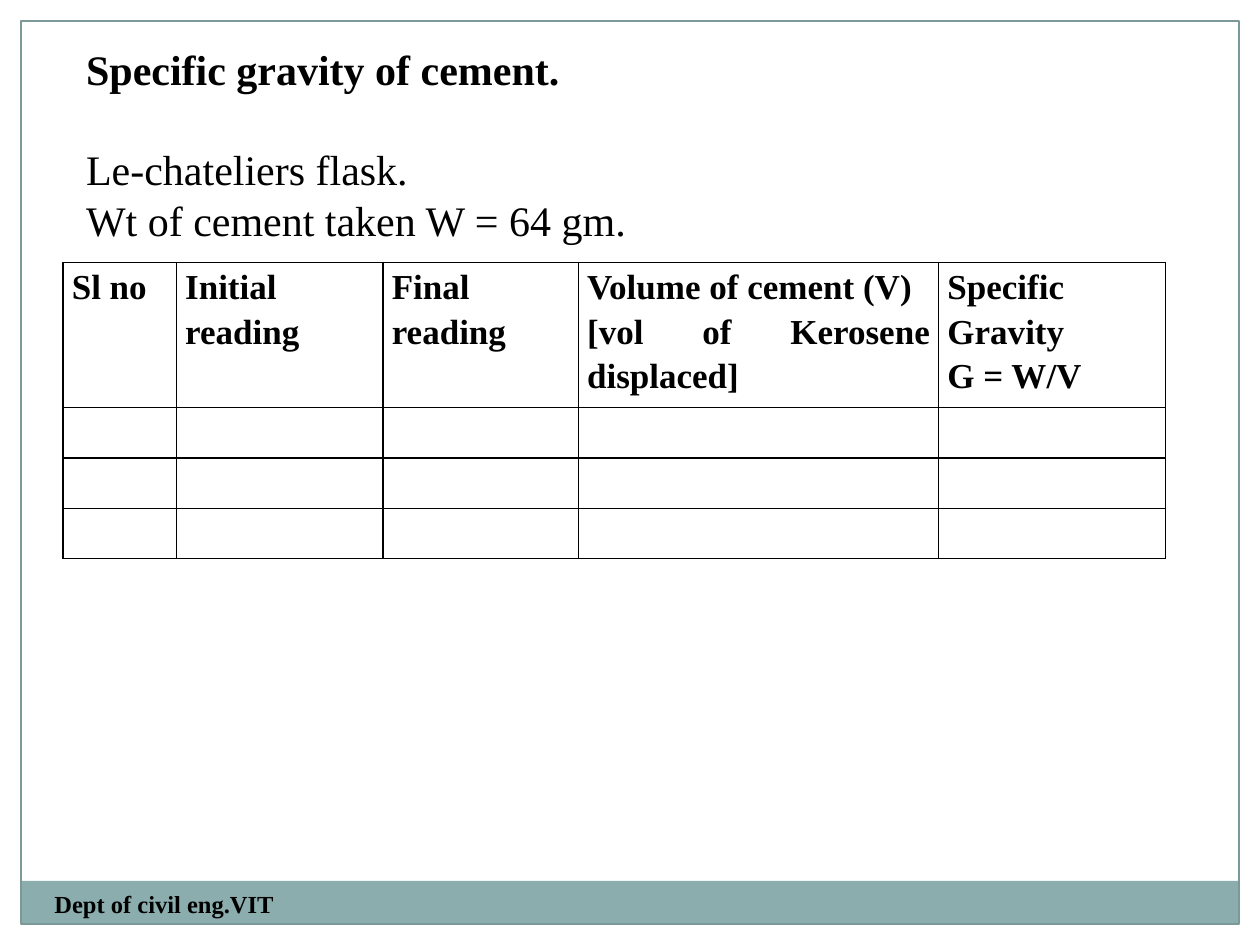
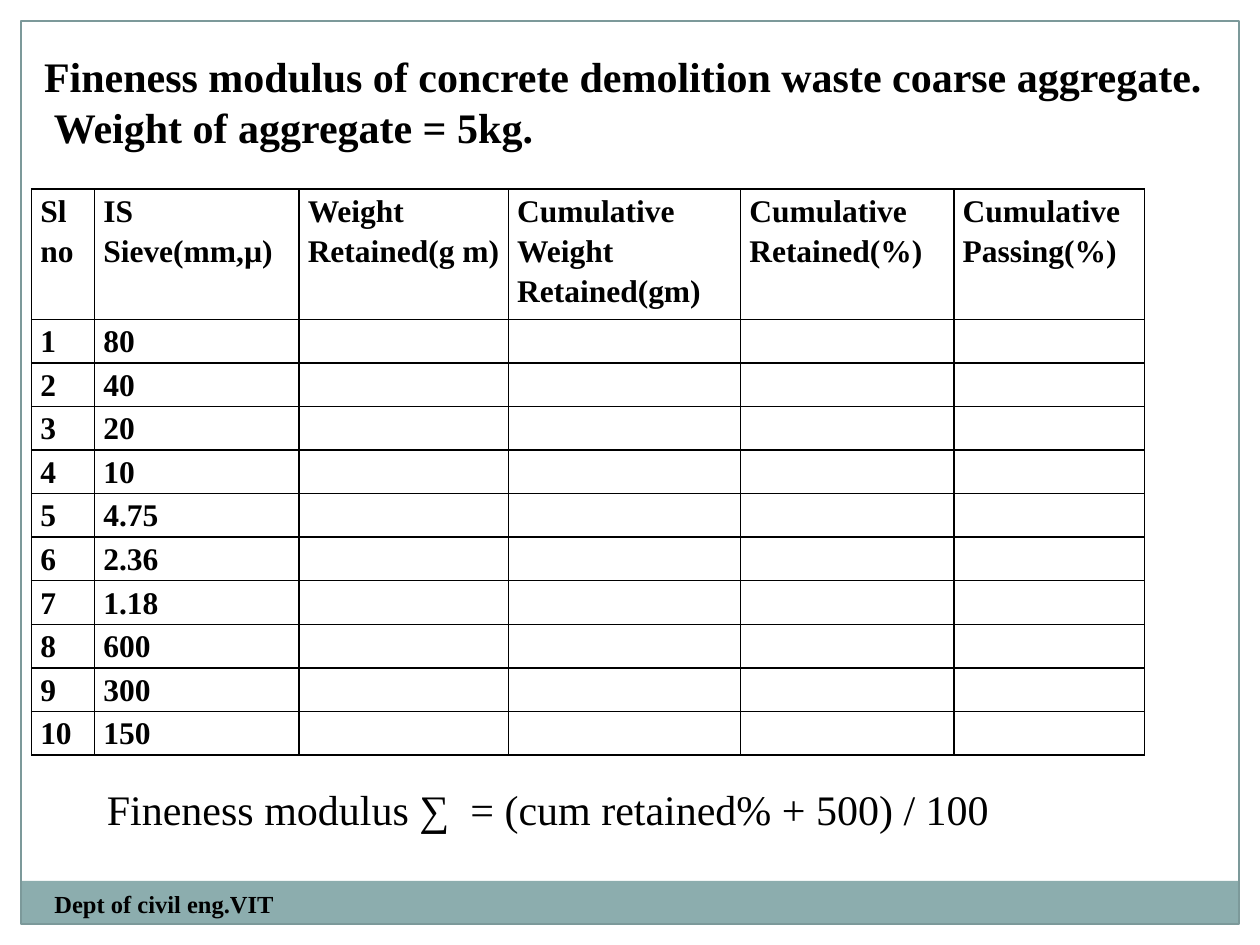
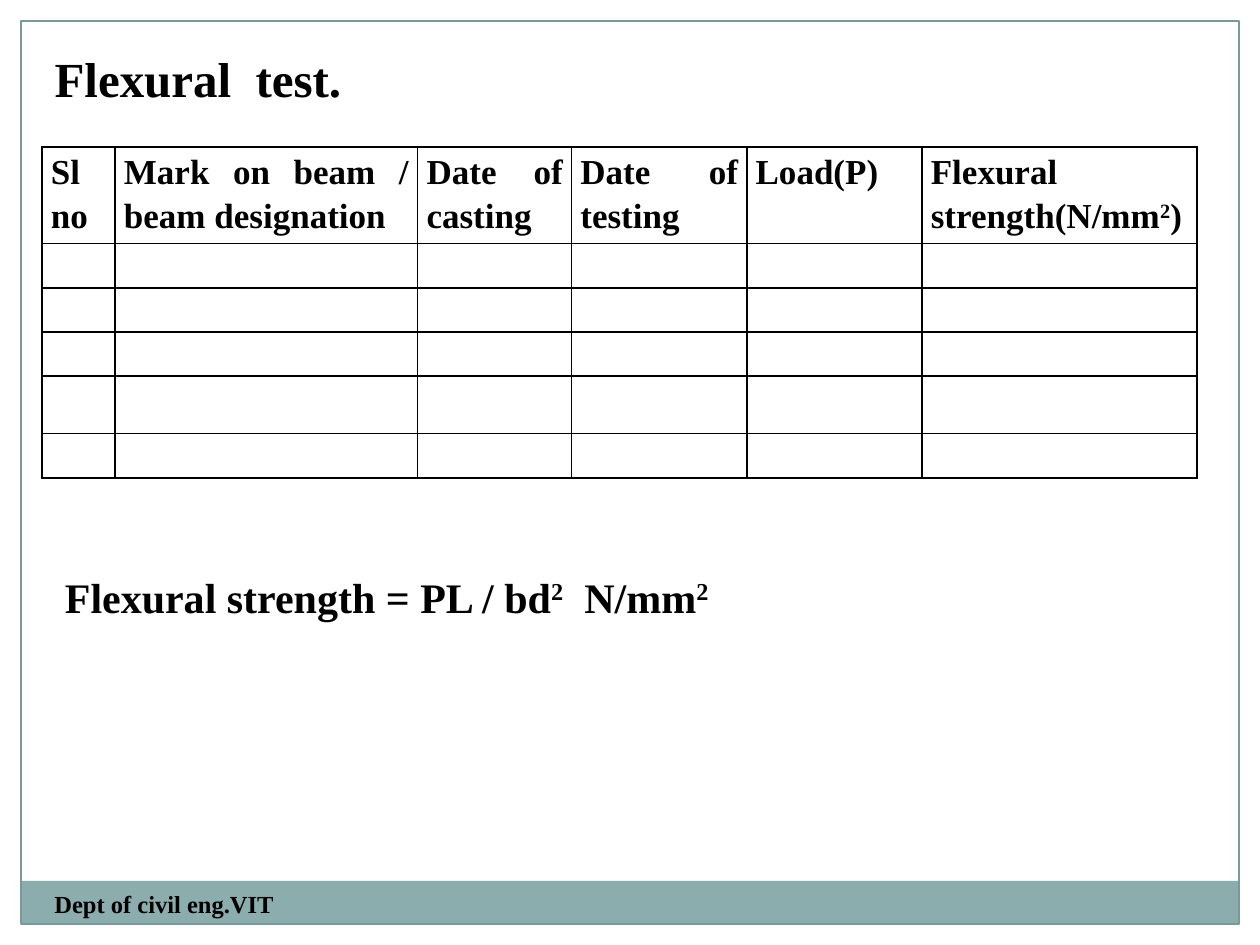
from lxml.etree import SubElement
from pptx import Presentation
from pptx.dml.color import RGBColor
from pptx.enum.shapes import MSO_SHAPE
from pptx.enum.text import MSO_ANCHOR, MSO_AUTO_SIZE, PP_ALIGN
from pptx.oxml.ns import qn
from pptx.util import Inches, Pt

BLACK = RGBColor(0x00, 0x00, 0x00)
WHITE = RGBColor(0xFF, 0xFF, 0xFF)
BAND = RGBColor(0x8C, 0xAD, 0xAE)
FRAME = RGBColor(0x7C, 0x99, 0x9A)
FONT = "Times New Roman"
FOOTER = "Dept of civil eng.VIT"
COLUMNS, ROWS = 120, 90
CELL = Inches(1) / 12
JUSTIFY, LEFT = PP_ALIGN.JUSTIFY, PP_ALIGN.LEFT


def grid(*counts):
    """Turn counts of grid cells into lengths."""
    return [round(count * CELL) for count in counts]


def apply(target, values):
    """Set each named attribute on the target."""
    for name, value in values.items():
        setattr(target, name, value)


def write(frame, lines, size, bold=True, align=JUSTIFY, **spacing):
    """Fill a text frame with lines, where ^ switches superscript on and off."""
    for number, line in enumerate(lines):
        para = frame.add_paragraph() if number else frame.paragraphs[0]
        apply(para, {"alignment": align, **spacing})
        for index, piece in enumerate(line.split("^")):
            if not piece:
                continue
            span = para.add_run()
            span.text = piece
            apply(span.font, {"name": FONT, "size": Pt(size), "bold": bold})
            span.font.color.rgb = BLACK
            if index % 2:
                span.font._element.set("baseline", "30000")


def add_title(page, box, lines, size, align=JUSTIFY):
    """Place and fill the title placeholder."""
    title = page.shapes.title
    apply(title, dict(zip(("left", "top", "width", "height"), grid(*box))))
    apply(title.text_frame, {"word_wrap": True, "auto_size": MSO_AUTO_SIZE.NONE,
                             "vertical_anchor": MSO_ANCHOR.MIDDLE})
    write(title.text_frame, lines, size, align=align)
    return title.text_frame.paragraphs


def add_text(page, box, line, size, **style):
    """Add a wrapping text box with one line."""
    frame = page.shapes.add_textbox(*grid(*box)).text_frame
    frame.word_wrap = True
    write(frame, [line], size, **style)


def format_cell(cell):
    """Give a cell narrow margins, black borders and no fill."""
    apply(cell, {"margin_left": Inches(0.07), "margin_right": Inches(0.07),
                 "margin_top": 0, "margin_bottom": 0})
    properties = cell._tc.get_or_add_tcPr()
    for side in ("a:lnL", "a:lnR", "a:lnT", "a:lnB"):
        border = SubElement(properties, qn(side), w=str(Pt(1)))
        fill = SubElement(border, qn("a:solidFill"))
        SubElement(fill, qn("a:srgbClr"), val=str(BLACK))
    cell.fill.background()


def add_grid_table(page, box, shares, heights, content, size):
    """Add a ruled table whose columns share the width of the box."""
    left, top, width = grid(*box)
    row_heights = grid(*heights)
    table = page.shapes.add_table(len(heights), len(shares), left, top, width,
                                  sum(row_heights)).table
    apply(table, {"first_row": False, "horz_banding": False})
    for column, share in zip(table.columns, shares):
        column.width = round(width * share / sum(shares))
    for row, height in zip(table.rows, row_heights):
        row.height = height
        for cell in row.cells:
            format_cell(cell)
    for row, texts in zip(table.rows, content):
        for cell, text in zip(row.cells, texts):
            write(cell.text_frame, text.split("\n"), size, line_spacing=1.15)


def add_frame(deck, page):
    """Draw the margins, band and outline and move them to the slide master."""
    bands = [((0, 0, COLUMNS, 2), WHITE), ((COLUMNS - 2, 0, 2, ROWS), WHITE),
             ((0, 0, 2, ROWS), WHITE), ((2, 83.9, COLUMNS - 4, 4.1), BAND),
             ((2, 2, COLUMNS - 4, ROWS - 4), None)]
    for box, color in bands:
        shape = page.shapes.add_shape(MSO_SHAPE.RECTANGLE, *grid(*box))
        shape.shadow.inherit = False
        if color is None:
            shape.fill.background()
            shape.line.color.rgb = FRAME
            shape.line.width = Pt(0.75)
        else:
            shape.fill.solid()
            shape.fill.fore_color.rgb = color
            shape.line.fill.background()
        deck.slide_master.shapes._spTree.append(shape._element)


def add_page(deck):
    """Add a title-only slide with the footer."""
    page = deck.slides.add_slide(deck.slide_layouts.get_by_name("Title Only"))
    add_text(page, (4, 84.1, 47, 4.8), FOOTER, 14, align=LEFT)
    return page


def gravity_page(page):
    """Build the specific gravity slide."""
    paras = add_title(page, (7, 3.4, 83, 20.6), [
        "Specific gravity of cement.", "Le-chateliers flask.",
        "Wt of cement taken W = 64 gm."], 24)
    paras[1].space_before = Pt(28.8)
    for para in paras[1:]:
        para.runs[0].font.bold = False
    headings = ["Sl no", "Initial reading", "Final reading",
                "Volume of cement (V)\n[vol of Kerosene displaced]",
                "Specific Gravity\nG = W/V"]
    add_grid_table(page, (6, 25, 105), (0.9, 1.64, 1.55, 2.86, 1.8),
                   [13.8] + [4.8] * 3, [headings], 20)


def fineness_page(page):
    """Build the fineness modulus slide."""
    paras = add_title(page, (3, 1.8, 115, 13.3), [
        "Fineness modulus of concrete demolition waste coarse aggregate.",
        " Weight of aggregate = 5kg."], 24, LEFT)
    paras[0].line_spacing = 1.5
    headings = ["Sl no", "IS Sieve(mm,µ)", "Weight \nRetained(g m)",
                "Cumulative \nWeight\nRetained(gm)",
                "Cumulative\nRetained(%)", "Cumulative\nPassing(%)"]
    sieves = ("80", "40", "20", "10", "4.75", "2.36", "1.18", "600", "300", "150")
    rows = [(str(number), sieve) for number, sieve in enumerate(sieves, 1)]
    add_grid_table(page, (3, 18, 106), (0.5, 1.62, 1.66, 1.84, 1.69, 1.51),
                   [12.4] + [4.15] * len(rows), [headings, *rows], 18)
    add_text(page, (9, 74, 90, 6),
             "Fineness modulus ∑  = (cum retained% + 500) / 100", 24,
             bold=False, align=LEFT)


def flexural_page(page):
    """Build the flexural test slide."""
    add_title(page, (4, 4, 94, 6.8), ["Flexural  test."], 28)
    headings = ["Sl no", "Mark on beam / beam designation", "Date of casting",
                "Date of testing", "Load(P)", "Flexural strength(N/mm^2^)"]
    add_grid_table(page, (4, 14, 110), (0.58, 2.4, 1.22, 1.39, 1.39, 2.18),
                   [9.2, 4.2, 4.2, 4.2, 5.5, 4.2], [headings], 20)
    add_text(page, (5, 53.8, 86, 6),
             "Flexural strength = PL / bd^2^  N/mm^2", 24)


def main():
    """Build and save the deck."""
    deck = Presentation()
    deck.slide_width, deck.slide_height = grid(COLUMNS, ROWS)
    pages = []
    for build in (gravity_page, fineness_page, flexural_page):
        pages.append(add_page(deck))
        build(pages[-1])
    add_frame(deck, pages[0])
    deck.save("out.pptx")


if __name__ == "__main__":
    main()
